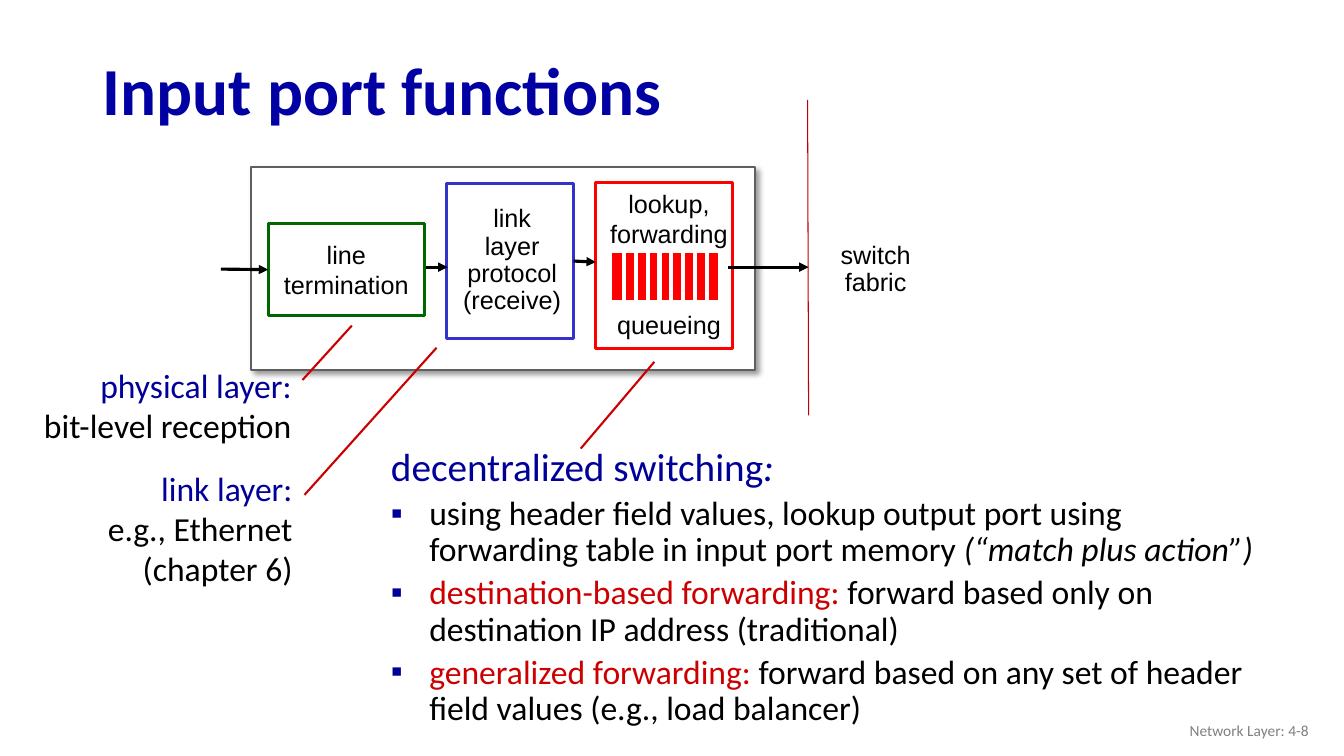
from lxml import etree
from pptx import Presentation
from pptx.dml.color import RGBColor
from pptx.enum.shapes import MSO_CONNECTOR, MSO_SHAPE
from pptx.enum.text import MSO_ANCHOR, PP_ALIGN
from pptx.oxml import parse_xml
from pptx.oxml.ns import nsdecls, qn
from pptx.util import Inches, Pt

STRAIGHT = MSO_CONNECTOR.STRAIGHT
RECTANGLE = MSO_SHAPE.RECTANGLE
TOP, MIDDLE = MSO_ANCHOR.TOP, MSO_ANCHOR.MIDDLE
LEFT, CENTER, RIGHT = PP_ALIGN.LEFT, PP_ALIGN.CENTER, PP_ALIGN.RIGHT

BLACK, WHITE, RED = "000000", "FFFFFF", "FF0000"
NAVY, CRIMSON = "000099", "CC0000"

TITLE = {"name": "Calibri", "size": Pt(48), "bold": True}
DIAGRAM = {"name": "Arial", "size": Pt(18)}
HEADING = {"name": "Calibri", "size": Pt(28)}
BODY = {"name": "Calibri", "size": Pt(24)}
FOOTER = {"name": "Calibri", "size": Pt(11)}
ITALIC = {"italic": True}

TIGHT = {"line_spacing": 0.9}
CENTERED = {"alignment": CENTER}
CENTERED_TIGHT = CENTERED | TIGHT
FLUSH_RIGHT = {"alignment": RIGHT}
QUEUEING = CENTERED | {"space_before": Pt(43)}
BULLETED = TIGHT | {"space_before": Pt(4.8)}


def rgb(hex_colour):
    """Turn a hex string into a colour."""
    return RGBColor.from_string(hex_colour)


def set_attributes(target, values):
    """Set every attribute named in a dict of format values."""
    for name, value in values.items():
        setattr(target, name, value)


def add_box(shapes, at, outline=None, width=2.25, fill=WHITE):
    """Add a rectangle without shadow, filled and outlined as asked."""
    box = shapes.add_shape(RECTANGLE, *map(Inches, at))
    box.shadow.inherit = False
    if fill:
        box.fill.solid()
        box.fill.fore_color.rgb = rgb(fill)
    else:
        box.fill.background()
    if outline:
        box.line.color.rgb = rgb(outline)
        box.line.width = Pt(width)
    else:
        box.line.fill.background()
    return box


def add_drop_shadow(box):
    """Give a box a soft shadow to the lower right."""
    effects = box._element.spPr.find(qn("a:effectLst"))
    effects.append(parse_xml(
        f'<a:outerShdw {nsdecls("a")} blurRad="{Pt(4)}" dist="{Pt(3)}" '
        'dir="2700000" algn="tl" rotWithShape="0"><a:srgbClr val="000000">'
        '<a:alpha val="40000"/></a:srgbClr></a:outerShdw>'))


def add_line(shapes, start, end, colour, width, arrow=False):
    """Add a straight line, with an arrowhead at its end if asked."""
    line = shapes.add_connector(STRAIGHT, *map(Inches, start + end))
    line.line.color.rgb = rgb(colour)
    line.line.width = Pt(width)
    if arrow:
        outline = line.line._get_or_add_ln()
        etree.SubElement(outline, qn("a:tailEnd"), type="triangle")
    etree.SubElement(line._element.spPr, qn("a:effectLst"))
    return line


def add_bullet(paragraph):
    """Give a paragraph a navy square bullet."""
    properties = paragraph._p.get_or_add_pPr()
    properties.set("marL", str(Inches(0.38)))
    properties.set("indent", str(-Inches(0.38)))
    colour = etree.SubElement(properties, qn("a:buClr"))
    etree.SubElement(colour, qn("a:srgbClr"), val=NAVY)
    etree.SubElement(properties, qn("a:buFont"), typeface="Arial")
    etree.SubElement(properties, qn("a:buChar"), char="▪")


def write(shape, paragraphs, font, anchor=TOP, wrap=False):
    """Write (layout, runs) paragraphs, each run (text, colour, extra format)."""
    frame = shape.text_frame
    set_attributes(frame, {"word_wrap": wrap, "vertical_anchor": anchor})
    for index, (layout, runs) in enumerate(paragraphs):
        paragraph = frame.add_paragraph() if index else frame.paragraphs[0]
        if layout is BULLETED:
            add_bullet(paragraph)
        set_attributes(paragraph, {"alignment": LEFT} | layout)
        for text, colour, extra in runs:
            run = paragraph.add_run()
            run.text = text
            set_attributes(run.font, font | extra)
            run.font.color.rgb = rgb(colour)


def add_text(shapes, at, paragraphs, font, anchor=TOP, wrap=False):
    """Add a text box holding the given paragraphs."""
    write(shapes.add_textbox(*map(Inches, at)), paragraphs, font, anchor, wrap)


def lines(layout, colour, *texts):
    """Make one single-run paragraph for each text."""
    return [(layout, [(text, colour, {})]) for text in texts]


def add_queue(shapes):
    """Draw the packet queue as a red bar cut by evenly spaced white lines."""
    queue = shapes.add_group_shape().shapes
    add_box(queue, (6.05, 2.49, 1.09, 0.51), WHITE, 3, RED)
    for index in range(8):
        x = 6.19 + index * 0.82 / 7
        add_line(queue, (x, 2.5), (x, 2.99), WHITE, 3)


def add_port(shapes):
    """Draw the input port from the incoming line to the switch fabric."""
    add_drop_shadow(add_box(shapes, (2.49, 1.66, 5, 2.01), "5F5F5F", 1.5))
    termination = add_box(shapes, (2.66, 2.22, 1.55, 0.91), "006600")
    write(termination, lines(CENTERED, BLACK, "line", "termination"), DIAGRAM, MIDDLE)
    add_box(shapes, (5.91, 1.81, 1.36, 1.65), RED)
    add_text(shapes, (5.95, 1.82, 1.37, 1.6),
             lines(CENTERED, BLACK, "lookup,", "forwarding")
             + lines(QUEUEING, BLACK, "queueing"), DIAGRAM)
    add_queue(shapes)
    link = add_box(shapes, (4.43, 1.82, 1.26, 1.54), "3333CC", fill=None)
    add_text(shapes, (4.38, 2.13, 1.4, 0.91),
             lines(CENTERED_TIGHT, BLACK, "link", "layer", "protocol", "(receive)"),
             DIAGRAM, MIDDLE)
    fabric = add_box(shapes, (8.11, 2.22, 1.15, 0.91))
    write(fabric, lines(CENTERED_TIGHT, BLACK, "switch", "fabric"), DIAGRAM, MIDDLE)
    add_line(shapes, (8.01, 0.99), (8.02, 4.12), "C00000", 0.75)

    incoming = add_line(shapes, (2.19, 2.67), (2.66, 2.67), BLACK, 2.25, arrow=True)
    incoming.end_connect(termination, 1)
    add_line(shapes, (4.23, 2.65), (4.44, 2.65), BLACK, 2.25, arrow=True)
    to_lookup = add_line(shapes, (5.69, 2.59), (5.91, 2.6), BLACK, 2.25, arrow=True)
    to_lookup.begin_connect(link, 3)
    add_line(shapes, (7.22, 2.65), (8.02, 2.65), BLACK, 2.25, arrow=True)


def add_layer_notes(shapes):
    """Write the layer explanations and lead lines from them to the port."""
    add_text(shapes, (0.28, 3.57, 2.71, 0.91),
             lines(FLUSH_RIGHT, NAVY, "physical layer:")
             + lines(FLUSH_RIGHT, BLACK, "bit-level reception"), BODY)
    add_text(shapes, (0.95, 4.59, 2.05, 1.31),
             lines(FLUSH_RIGHT, NAVY, "link layer:")
             + lines(FLUSH_RIGHT, BLACK, "e.g., Ethernet", "(chapter 6)"), BODY)
    for start, end in [((3, 3.77), (3.49, 3.23)), ((5.76, 4.45), (6.49, 3.59)),
                       ((3.02, 4.91), (4.33, 3.45))]:
        add_line(shapes, start, end, CRIMSON, 1.5)


def add_switching(shapes):
    """Write the heading and bullets on decentralized switching."""
    points = [
        [("using header field values, lookup output port using forwarding table "
          "in input port memory ", BLACK, {}), ("(“match plus action”)", BLACK, ITALIC)],
        [("destination-based forwarding: ", CRIMSON, {}),
         ("forward based only on destination IP address (traditional)", BLACK, {})],
        [("generalized forwarding: ", CRIMSON, {}),
         ("forward based on any set of header field values (e.g., load balancer)",
          BLACK, {})],
    ]
    heading = [("decentralized switching", NAVY, HEADING), (":", NAVY, HEADING | ITALIC)]
    add_text(shapes, (3.78, 4.39, 8.96, 2.92),
             [(TIGHT, heading)] + [(BULLETED, runs) for runs in points], BODY, wrap=True)


def main():
    """Build the slide and save it."""
    deck = Presentation()
    deck.slide_width, deck.slide_height = Inches(13.33), Inches(7.5)
    shapes = deck.slides.add_slide(deck.slide_layouts[6]).shapes
    add_text(shapes, (0.92, 0.44, 11.5, 0.98),
             lines(TIGHT, "0000A3", "Input port functions"), TITLE, MIDDLE, True)
    add_port(shapes)
    add_layer_notes(shapes)
    add_switching(shapes)
    add_text(shapes, (10.08, 7.05, 3, 0.4),
             lines(FLUSH_RIGHT, "808080", "Network Layer: 4-8"), FOOTER, MIDDLE, True)
    deck.save("out.pptx")


if __name__ == "__main__":
    main()
